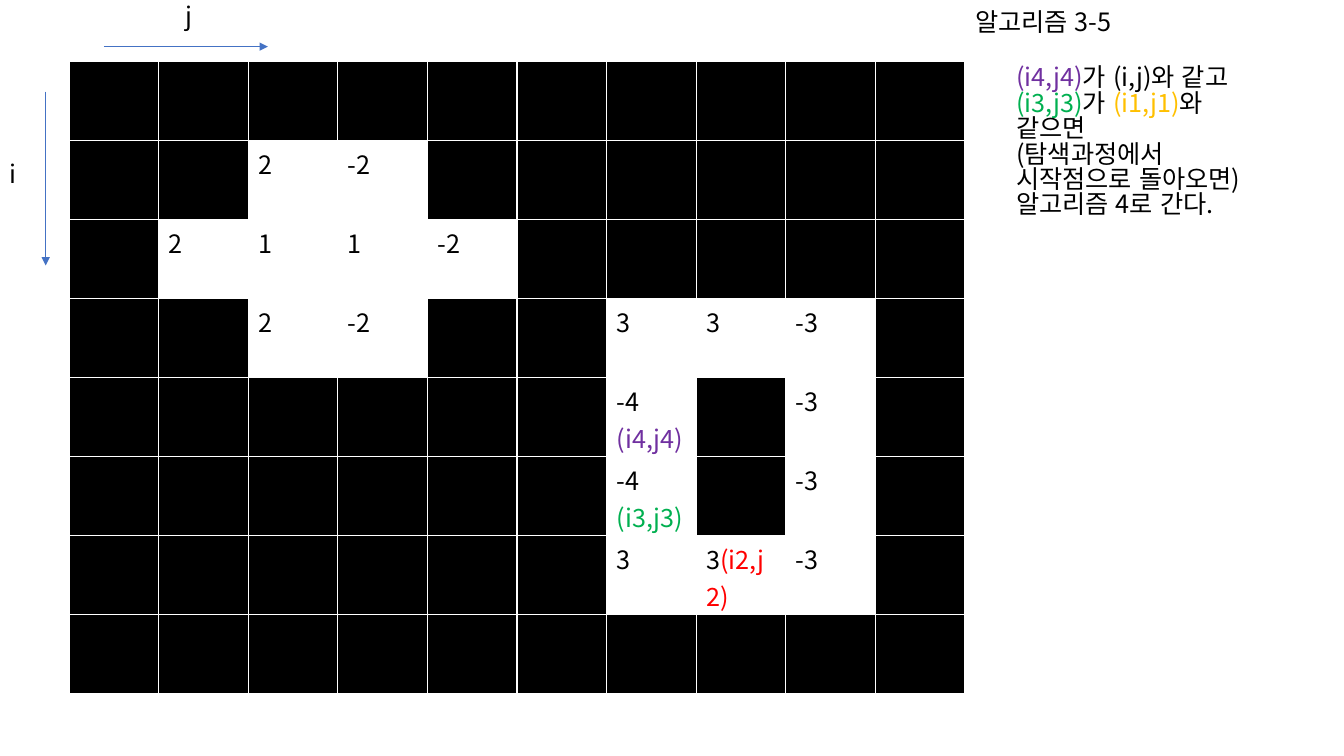
import pptx
import pptx.util
import pptx.dml.color
import pptx.enum.dml
import pptx.enum.lang
import pptx.enum.shapes
import pptx.enum.text
import pptx.oxml.ns
import lxml.etree

FONT = "Noto Sans CJK KR"
BLACK, WHITE, BLUE = "000000", "FFFFFF", "4472C4"
PURPLE, GREEN, RED, GOLD = "7030A0", "00B050", "FF0000", "FFC000"
COLUMN, ROW = 13.33 / 15, 6.27 / 8

LABELS = [
    [""] * 10,
    ["", "", "2", "-2", "", "", "", "", "", ""],
    ["", "2", "1", "1", "-2", "", "", "", "", ""],
    ["", "", "2", "-2", "", "", "3", "3", "-3", ""],
    ["", "", "", "", "", "", "-4", "", "-3", ""],
    ["", "", "", "", "", "", "-4", "", "-3", ""],
    ["", "", "", "", "", "", "3", "3", "-3", ""],
    [""] * 10,
]
MARKED = {
    (4, 6): [["-4"], [("(i4,j4)", PURPLE)]],
    (5, 6): [["-4"], [("(i3,j3)", GREEN)]],
    (6, 7): [["3", ("(i2,j2)", RED)]],
}
CONDITION = [
    [("(i4,j4)", PURPLE), "가 (i,j)와 같고"],
    [("(i3,j3)", GREEN), "가 ", ("(i1,j1)", GOLD), "와 같으면"],
    ["(탐색과정에서 시작점으로 돌아오면)"],
    ["알고리즘 4로 간다."],
]


def across(columns):
    return pptx.util.Inches(columns * COLUMN)


def down(rows):
    return pptx.util.Inches(rows * ROW)


def rgb(value):
    return pptx.dml.color.RGBColor.from_string(value)


def add_child(parent, tag, **attributes):
    return lxml.etree.SubElement(parent, pptx.oxml.ns.qn(tag), **attributes)


def write(frame, paragraphs, size=18, color=BLACK, spacing=1.0):
    for index, pieces in enumerate(paragraphs):
        paragraph = frame.add_paragraph() if index else frame.paragraphs[0]
        paragraph.alignment = pptx.enum.text.PP_ALIGN.LEFT
        paragraph.line_spacing = spacing
        paragraph.space_before = pptx.util.Pt(0)
        for piece in pieces:
            wording, tint = (piece, color) if isinstance(piece, str) else piece
            run = paragraph.add_run()
            run.text = wording
            run.font.size = pptx.util.Pt(size)
            run.font.name = FONT
            run.font.language_id = pptx.enum.lang.MSO_LANGUAGE_ID.KOREAN
            run.font.color.rgb = rgb(tint)
            add_child(run.font._element, "a:ea", typeface=FONT)


class Board:
    def __init__(self, slide, spacing=0.84):
        self.slide = slide
        self.spacing = spacing

    def fill_frame(self, holder, paragraphs, wrap):
        frame = holder.text_frame
        frame.word_wrap = wrap
        frame.auto_size = pptx.enum.text.MSO_AUTO_SIZE.SHAPE_TO_FIT_TEXT
        frame.vertical_anchor = pptx.enum.text.MSO_ANCHOR.TOP
        write(frame, paragraphs, spacing=self.spacing)

    def title(self, wording, left, top, width, height):
        heading = self.slide.shapes.title
        heading.left, heading.top = across(left), down(top)
        heading.width, heading.height = across(width), down(height)
        self.fill_frame(heading, [[wording]], wrap=False)

    def text(self, paragraphs, left, top, width, height):
        holder = self.slide.shapes.add_textbox(
            across(left), down(top), across(width), down(height))
        self.fill_frame(holder, paragraphs, wrap=True)

    def arrow(self, start, end):
        axis = self.slide.shapes.add_connector(
            pptx.enum.shapes.MSO_CONNECTOR.STRAIGHT,
            across(start[0]), down(start[1]), across(end[0]), down(end[1]))
        axis.line.color.rgb = rgb(BLUE)
        axis.line.width = pptx.util.Pt(0.5)
        add_child(axis.line._get_or_add_ln(), "a:tailEnd", type="triangle")
        add_child(axis._element.spPr, "a:effectLst")

    def border(self, cell):
        properties = cell._tc.get_or_add_tcPr()
        for position, side in enumerate(("a:lnL", "a:lnR", "a:lnT", "a:lnB")):
            edge = add_child(properties, side, w=str(pptx.util.Pt(1)))
            add_child(add_child(edge, "a:solidFill"), "a:srgbClr", val=WHITE)
            properties.remove(edge)
            properties.insert(position, edge)

    def grid(self, labels, marked, left, top):
        height, width = len(labels), len(labels[0])
        table = self.slide.shapes.add_table(
            height, width, across(left), down(top), across(width), down(height)).table
        table.first_row = table.horz_banding = False
        for column in table.columns:
            column.width = across(1)
        for i, line in enumerate(labels):
            table.rows[i].height = down(1)
            for j, label in enumerate(line):
                cell = table.cell(i, j)
                cell.margin_bottom = 0
                cell.fill.solid()
                cell.fill.fore_color.rgb = rgb(WHITE if label else BLACK)
                self.border(cell)
                if label:
                    write(cell.text_frame, marked.get((i, j), [[label]]))


def main():
    deck = pptx.Presentation()
    deck.slide_width = pptx.util.Inches(13.33)
    deck.slide_height = pptx.util.Inches(7.5)
    board = Board(deck.slides.add_slide(deck.slide_layouts[5]))
    board.title("알고리즘 3-5", 10.77, 0.08, 1.89, 0.51)
    board.grid(LABELS, MARKED, 0.77, 0.78)
    board.arrow((1.16, 0.59), (2.99, 0.59))
    board.arrow((0.51, 1.16), (0.51, 3.36))
    board.text([["i"]], 0, 2, 0.36, 0.51)
    board.text([["j"]], 1.96, 0, 0.43, 0.51)
    board.text(CONDITION, 11.23, 0.78, 2.85, 2.45)
    deck.save("out.pptx")


if __name__ == "__main__":
    main()
